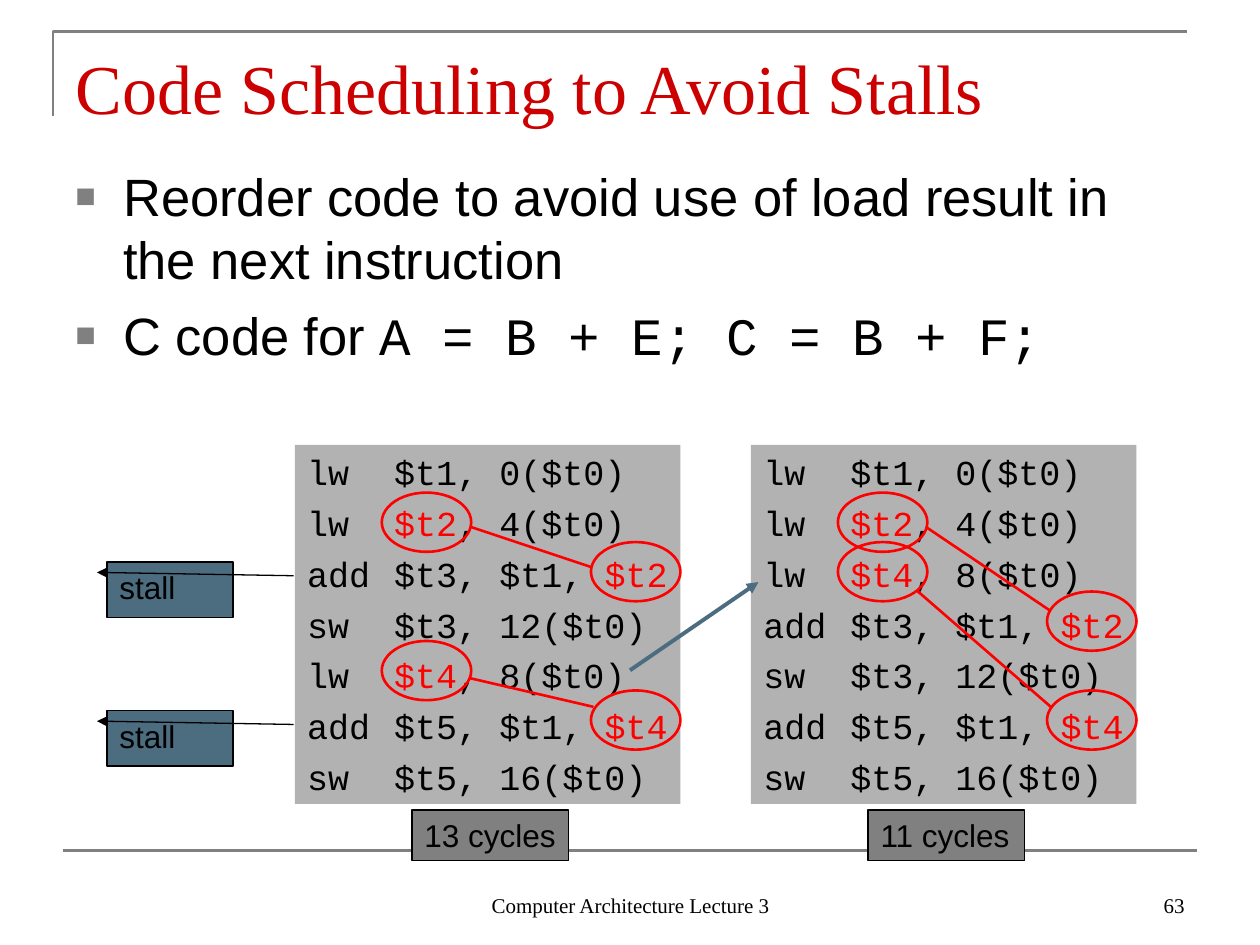
from dataclasses import dataclass

from lxml.etree import SubElement
from pptx import Presentation
from pptx.dml.color import RGBColor
from pptx.enum.shapes import MSO_CONNECTOR, MSO_SHAPE
from pptx.enum.text import MSO_ANCHOR, PP_ALIGN
from pptx.oxml.ns import qn
from pptx.util import Inches, Pt


@dataclass(frozen=True)
class Theme:
    serif: str = "Times New Roman"
    sans: str = "Arial"
    mono: str = "Courier New"
    title_red: str = "CC0000"
    red: str = "FF0000"
    black: str = "000000"
    gray: str = "808080"
    panel: str = "B2B2B2"
    steel: str = "4C6D80"
    title_size: int = 40
    body_size: int = 30
    code_size: int = 20
    label_size: int = 18
    footer_size: int = 12


class SlideBuilder:
    def __init__(self, deck, theme):
        self.theme = theme
        self.page = deck.slides.add_slide(deck.slide_layouts[5])

    def style(self, font, name, size, color):
        font.name, font.size = name, Pt(size)
        font.color.rgb = RGBColor.from_string(color)

    def add_span(self, para, text, name, size, color):
        span = para.add_run()
        span.text = text
        self.style(span.font, name, size, color)

    def title(self, text, left, top, width, height):
        box = self.page.shapes.title
        box.left, box.top, box.width, box.height = map(Inches, (left, top, width, height))
        box.text_frame.text = text
        box.text_frame.vertical_anchor = MSO_ANCHOR.MIDDLE
        para = box.text_frame.paragraphs[0]
        para.alignment = PP_ALIGN.LEFT
        self.style(para.font, self.theme.serif, self.theme.title_size, self.theme.title_red)

    def text_box(self, left, top, width, height):
        box = self.page.shapes.add_textbox(*map(Inches, (left, top, width, height)))
        box.text_frame.word_wrap = True
        return box.text_frame

    def bullets(self, items, left, top, width, height):
        """Each item is a list of (text, font name) spans."""
        frame = self.text_box(left, top, width, height)
        for index, spans in enumerate(items):
            para = frame.paragraphs[0] if index == 0 else frame.add_paragraph()
            para.space_before = Pt(7.5 if index else 0)
            props = para._p.get_or_add_pPr()
            props.set("marL", str(Inches(0.38)))
            props.set("indent", str(Inches(-0.38)))
            color = SubElement(props, qn("a:buClr"))
            SubElement(color, qn("a:srgbClr"), val=self.theme.gray)
            SubElement(props, qn("a:buSzPct"), val="65000")
            SubElement(props, qn("a:buFont"), typeface=self.theme.sans)
            SubElement(props, qn("a:buChar"), char="■")
            for text, name in spans:
                self.add_span(para, text, name, self.theme.body_size, self.theme.black)

    def footer(self, text, left, width, alignment):
        frame = self.text_box(left, 6.83, width, 0.5)
        frame.vertical_anchor = MSO_ANCHOR.BOTTOM
        para = frame.paragraphs[0]
        para.text, para.alignment = text, alignment
        self.style(para.font, self.theme.serif, self.theme.footer_size, self.theme.black)

    def shape(self, kind, left, top, width, height, fill=None, line=None, weight=0.75):
        box = self.page.shapes.add_shape(kind, *map(Inches, (left, top, width, height)))
        box.shadow.inherit = False
        if fill:
            box.fill.solid()
            box.fill.fore_color.rgb = RGBColor.from_string(fill)
        else:
            box.fill.background()
        if line:
            box.line.color.rgb = RGBColor.from_string(line)
            box.line.width = Pt(weight)
        else:
            box.line.fill.background()
        return box

    def label(self, kind, text, left, top, width, height, fill):
        box = self.shape(kind, left, top, width, height, fill, self.theme.black)
        frame = box.text_frame
        frame.word_wrap = False
        frame.vertical_anchor = MSO_ANCHOR.TOP
        para = frame.paragraphs[0]
        para.text, para.alignment = text, PP_ALIGN.LEFT
        self.style(para.font, self.theme.sans, self.theme.label_size, self.theme.black)
        return box

    def stall(self, top):
        box = self.label(MSO_SHAPE.LINE_CALLOUT_1, "stall", 0.85, top, 1, 0.44, self.theme.steel)
        box.text_frame.word_wrap = True
        for index, value in enumerate((0.19, -0.08, 0.25, 1.48)):
            box.adjustments[index] = value
        SubElement(box.line._get_or_add_ln(), qn("a:headEnd"), type="triangle")

    def code(self, lines, left, top, width, height):
        """Show code lines; the part between bars is highlighted."""
        box = self.shape(MSO_SHAPE.RECTANGLE, left, top, width, height, self.theme.panel)
        frame = box.text_frame
        frame.word_wrap = False
        frame.vertical_anchor = MSO_ANCHOR.TOP
        for index, line in enumerate(lines):
            para = frame.paragraphs[0] if index == 0 else frame.add_paragraph()
            para.alignment = PP_ALIGN.LEFT
            para.space_before = Pt(5 if index else 0)
            tabs = SubElement(para._p.get_or_add_pPr(), qn("a:tabLst"))
            SubElement(tabs, qn("a:tab"), pos=str(Inches(0.69)), algn="l")
            for part, text in enumerate(line.split("|")):
                if text:
                    color = self.theme.red if part == 1 else self.theme.black
                    self.add_span(para, text, self.theme.mono, self.theme.code_size, color)

    def ring(self, left, top):
        self.shape(MSO_SHAPE.OVAL, left, top, 0.71, 0.47, line=self.theme.red, weight=1.5)

    def line(self, start, end, color, weight=1.5, arrow=False):
        rule = self.page.shapes.add_connector(
            MSO_CONNECTOR.STRAIGHT, *map(Inches, (*start, *end)))
        rule.line.color.rgb = RGBColor.from_string(color)
        rule.line.width = Pt(weight)
        if arrow:
            SubElement(rule.line._get_or_add_ln(), qn("a:tailEnd"), type="triangle")
        SubElement(rule._element.spPr, qn("a:effectLst"))

    def corner(self, points, color):
        first, *rest = [tuple(map(Inches, point)) for point in points]
        builder = self.page.shapes.build_freeform(*first)
        builder.add_line_segments(rest, close=False)
        outline = builder.convert_to_shape()
        outline.shadow.inherit = False
        outline.fill.background()
        outline.line.color.rgb = RGBColor.from_string(color)
        outline.line.width = Pt(1.5)


ADD_B = ["add\t$t3, $t1, |$t2|", "sw\t$t3, 12($t0)"]
ADD_F = ["add\t$t5, $t1, |$t4|", "sw\t$t5, 16($t0)"]
LOADS = ["lw\t$t1, 0($t0)", "lw\t|$t2|, 4($t0)"]
LATE_LOAD = ["lw\t|$t4|, 8($t0)"]

# Left edge, code, cycle count, and dependence lines between the rings
LISTINGS = [
    (2.34, LOADS + ADD_B + LATE_LOAD + ADD_F, "13 cycles",
     [((3.73, 4.18), (4.69, 4.5)), ((3.72, 5.38), (4.71, 5.61))]),
    (5.96, LOADS + LATE_LOAD + ADD_B + ADD_F, "11 cycles",
     [((7.36, 4.19), (8.34, 4.85)), ((7.28, 4.69), (8.34, 5.61))]),
]


def main():
    deck = Presentation()
    deck.slide_width, deck.slide_height = Inches(10), Inches(7.5)
    theme = Theme()
    slide = SlideBuilder(deck, theme)

    # Frame lines, title and body
    slide.corner([(0.42, 0.92), (0.42, 0.25), (9.42, 0.25)], theme.gray)
    slide.line((0.5, 6.75), (9.5, 6.75), theme.gray)
    slide.title("Code Scheduling to Avoid Stalls", 0.5, 0.3, 9, 0.78)
    slide.bullets([
        [("Reorder code to avoid use of load result in the next instruction", theme.sans)],
        [("C code for ", theme.sans), ("A = B + E; C = B + F;", theme.mono)],
    ], 0.5, 1.25, 9, 5.45)
    slide.footer("Computer Architecture Lecture 3", 3.42, 3.17, PP_ALIGN.CENTER)
    slide.footer("63", 7.17, 2.33, PP_ALIGN.RIGHT)

    # Code listings with rings, dependences and cycle counts
    for left, lines, cycles, links in LISTINGS:
        slide.code(lines, left, 3.53, 3.06, 2.85)
        for row, text in enumerate(lines):
            if "|" in text:
                offset = 2.35 if text.endswith("|") else 0.69
                slide.ring(left + offset, 3.91 + 1.57 * (row - 1) / 4)
        for start, end in links:
            slide.line(start, end, theme.red)
        slide.label(MSO_SHAPE.RECTANGLE, cycles, left + 0.93, 6.43, 1.24, 0.4, theme.gray)

    # Stalls and the moved load
    for top in (4.46, 5.64):
        slide.stall(top)
    slide.line((5, 5.32), (6.02, 4.62), theme.steel, 2.25, arrow=True)

    deck.save("out.pptx")


if __name__ == "__main__":
    main()
